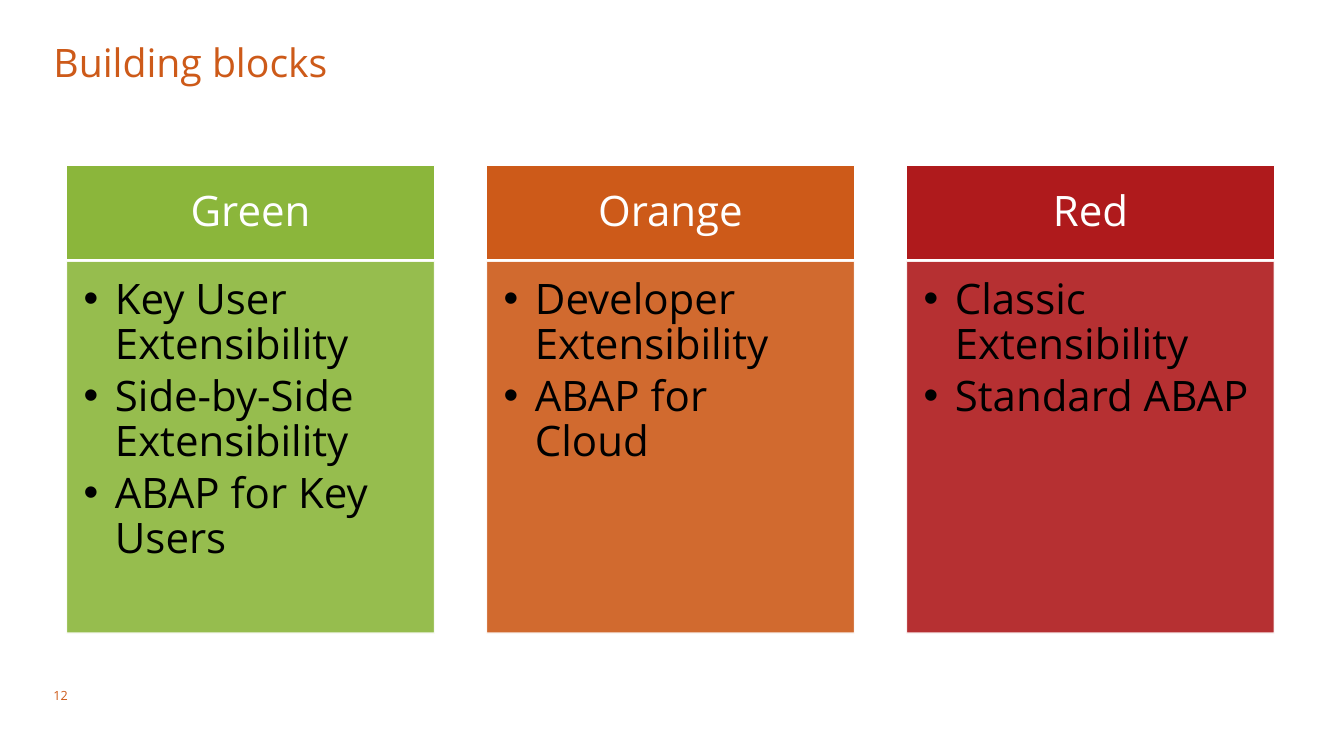
from dataclasses import dataclass

from lxml import etree
from pptx import Presentation
from pptx.dml.color import RGBColor
from pptx.enum.shapes import MSO_SHAPE
from pptx.enum.text import MSO_ANCHOR, MSO_AUTO_SIZE, PP_ALIGN
from pptx.oxml.ns import qn
from pptx.util import Inches, Pt

RECT = MSO_SHAPE.RECTANGLE
TOP, MIDDLE = MSO_ANCHOR.TOP, MSO_ANCHOR.MIDDLE
LEFT, CENTER = PP_ALIGN.LEFT, PP_ALIGN.CENTER
NO_FIT = MSO_AUTO_SIZE.NONE


@dataclass(frozen=True)
class Theme:
    font: str = "Open Sans"
    green: str = "8BB63B"
    orange: str = "CD5A19"
    red: str = "AF1A1C"
    white: str = "FFFFFF"
    black: str = "000000"
    title_size: int = 28
    block_size: int = 30
    number_size: int = 9


THEME = Theme()
BLOCKS = [
    ("Green", THEME.green, ["Key User Extensibility", "Side-by-Side Extensibility", "ABAP for Key Users"]),
    ("Orange", THEME.orange, ["Developer Extensibility", "ABAP for Cloud"]),
    ("Red", THEME.red, ["Classic Extensibility", "Standard ABAP"]),
]
BLOCK_LEFT, BLOCK_STEP, BLOCK_WIDTH = 0.66, 4.165, 3.65
HEADER_TOP, HEADER_HEIGHT = 1.64, 0.94
BODY_TOP, BODY_HEIGHT = 2.59, 3.69
BULLET_INDENT = 0.31


def add_bullet(p):
    pPr = p._p.get_or_add_pPr()
    pPr.set("marL", str(Inches(BULLET_INDENT)))
    pPr.set("indent", str(-Inches(BULLET_INDENT)))
    etree.SubElement(pPr, qn("a:buFont")).set("typeface", "Arial")
    etree.SubElement(pPr, qn("a:buChar")).set("char", "•")


def write_text(tf, lines, size, color, align=LEFT, anchor=TOP, insets=(0, 0, 0, 0),
               spacing=0.9, after=0, bullets=False):
    tf.word_wrap = True
    tf.auto_size = NO_FIT
    tf.vertical_anchor = anchor
    tf.margin_left, tf.margin_top, tf.margin_right, tf.margin_bottom = map(Inches, insets)
    for i, line in enumerate(lines):
        p = tf.add_paragraph() if i else tf.paragraphs[0]
        p.alignment = align
        p.line_spacing = spacing
        p.space_before = Pt(0)
        p.space_after = Pt(after)
        if bullets:
            p.level = 1
            add_bullet(p)
        r = p.add_run()
        r.text = line
        r.font.name = THEME.font
        r.font.size = Pt(size)
        r.font.color.rgb = RGBColor.from_string(color)


def set_alpha(sp, percent):
    for color in sp._element.spPr.iter(qn("a:srgbClr")):
        etree.SubElement(color, qn("a:alpha")).set("val", str(percent * 1000))


def add_panel(slide, left, top, height, color):
    sp = slide.shapes.add_shape(RECT, Inches(left), Inches(top), Inches(BLOCK_WIDTH), Inches(height))
    sp.shadow.inherit = False
    sp.fill.solid()
    sp.fill.fore_color.rgb = RGBColor.from_string(color)
    sp.line.color.rgb = RGBColor.from_string(THEME.white)
    sp.line.width = Pt(1)
    return sp


def add_block(slide, left, name, color, items):
    header = add_panel(slide, left, HEADER_TOP, HEADER_HEIGHT, color)
    write_text(header.text_frame, [name], THEME.block_size, THEME.white, align=CENTER,
               anchor=MIDDLE, insets=(0.23, 0.13, 0.23, 0.13))
    body = add_panel(slide, left, BODY_TOP, BODY_HEIGHT, color)
    set_alpha(body, 90)
    write_text(body.text_frame, items, THEME.block_size, THEME.black,
               insets=(0.17, 0.17, 0.23, 0.26), after=4.5, bullets=True)


def add_title(slide, text):
    sp = slide.shapes.title
    sp.left, sp.top, sp.width, sp.height = map(Inches, (0.53, 0.43, 10.06, 0.42))
    write_text(sp.text_frame, [text], THEME.title_size, THEME.orange)


def add_page_number(slide, text):
    sp = slide.shapes.add_textbox(*map(Inches, (0.53, 6.77, 0.23, 0.25)))
    write_text(sp.text_frame, [text], THEME.number_size, THEME.orange, anchor=MIDDLE, spacing=1.0)


def main():
    prs = Presentation()
    prs.slide_width, prs.slide_height = Inches(13.33), Inches(7.5)
    slide = prs.slides.add_slide(prs.slide_layouts[5])
    add_title(slide, "Building blocks")
    add_page_number(slide, "12")
    for i, (name, color, items) in enumerate(BLOCKS):
        add_block(slide, BLOCK_LEFT + i * BLOCK_STEP, name, color, items)
    prs.save("out.pptx")


if __name__ == "__main__":
    main()
